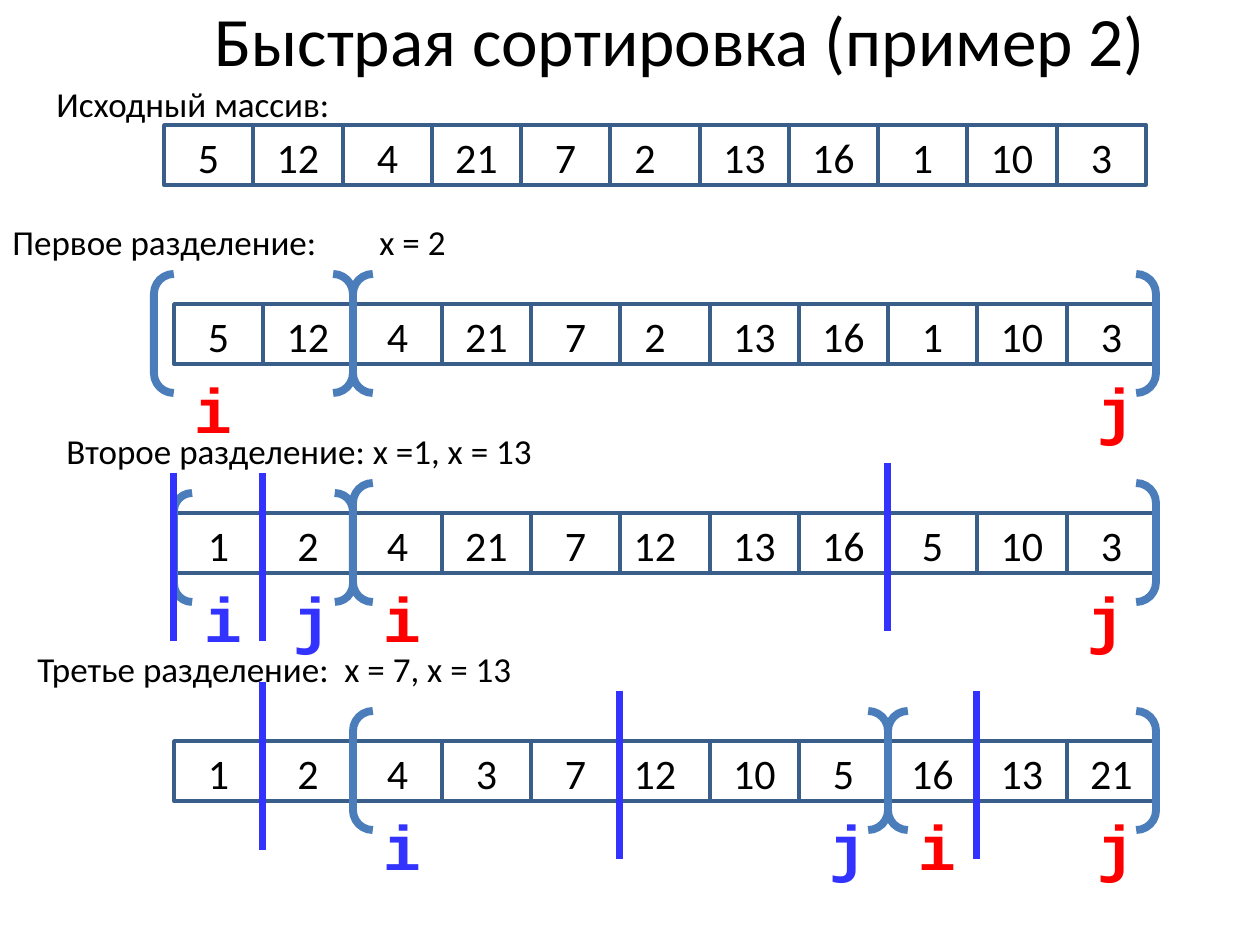
from dataclasses import dataclass

from lxml.etree import SubElement
from pptx import Presentation
from pptx.dml.color import RGBColor
from pptx.enum.shapes import MSO_CONNECTOR, MSO_SHAPE
from pptx.enum.text import MSO_ANCHOR, PP_ALIGN
from pptx.oxml.ns import qn
from pptx.util import Emu, Pt

PX_PER_INCH = 126


@dataclass(frozen=True)
class Theme:
    ink: str = "000000"
    cell_line: str = "395E89"
    bracket: str = "4A7DBA"
    red: str = "FF0000"
    blue: str = "3333FF"
    font: str = "Calibri"
    pointer_font: str = "Courier New"
    title_pt: float = 39.6
    caption_pt: float = 20
    cell_pt: float = 24
    pointer_pt: float = 36
    cell_line_pt: float = 2
    bracket_pt: float = 4.5
    bar_pt: float = 4


THEME = Theme()


@dataclass(frozen=True)
class Caption:
    text: str
    x: int
    y: int
    w: int
    tab: int = 0


@dataclass(frozen=True)
class Bracket:
    start: int
    end: int
    outset: int = 0
    rise: int = 30
    h: int = 119


@dataclass(frozen=True)
class Pointer:
    label: str
    column: int
    color: str
    nudge: int = 10


@dataclass(frozen=True)
class Bar:
    column: int
    rise: int = 50


@dataclass(frozen=True)
class Step:
    caption: Caption
    x: int
    y: int
    values: tuple[int, ...]
    brackets: tuple[Bracket, ...] = ()
    pointers: tuple[Pointer, ...] = ()
    bars: tuple[Bar, ...] = ()

    def edge(self, column: int) -> int:
        return self.x + round(ROW_W * column / len(self.values))


ROW_W, CELL_H = 982, 60
POINTER_W, POINTER_H = 79, 89
BAR_H = 168
NUDGED_COLUMN = 5

STEPS = (
    Step(Caption("Исходный массив:", 44, 76, 326), 164, 125,
         (5, 12, 4, 21, 7, 2, 13, 16, 1, 10, 3)),
    Step(Caption("Первое разделение:\tx = 2", 0, 214, 512, 367), 174, 304,
         (5, 12, 4, 21, 7, 2, 13, 16, 1, 10, 3),
         (Bracket(0, 2, outset=20), Bracket(2, 11)),
         (Pointer("i", 0, THEME.red, 0), Pointer("j", 10, THEME.red))),
    Step(Caption("Второе разделение: x =1, x = 13", 54, 423, 635), 174, 513,
         (1, 2, 4, 21, 7, 12, 13, 16, 5, 10, 3),
         (Bracket(2, 11), Bracket(0, 2, rise=20, h=109)),
         (Pointer("i", 2, THEME.red), Pointer("j", 10, THEME.red, 0),
          Pointer("i", 0, THEME.blue), Pointer("j", 1, THEME.blue)),
         (Bar(1, 40), Bar(8), Bar(0, 40))),
    Step(Caption("Третье разделение:\tx = 7, x = 13", 25, 641, 595, 307), 174, 741,
         (1, 2, 4, 3, 7, 12, 10, 5, 16, 13, 21),
         (Bracket(2, 8), Bracket(8, 11)),
         (Pointer("i", 2, THEME.blue), Pointer("j", 7, THEME.blue),
          Pointer("j", 10, THEME.red), Pointer("i", 8, THEME.red)),
         (Bar(1, 59), Bar(5), Bar(9))),
)


def px(n: int) -> Emu:
    return Emu(round(n * 914400 / PX_PER_INCH))


def write(sp, text: str, size: float, color: str = THEME.ink, font: str = THEME.font,
          bold: bool = False, align=PP_ALIGN.CENTER, anchor=MSO_ANCHOR.TOP):
    tf = sp.text_frame
    tf.word_wrap = True
    tf.vertical_anchor = anchor
    p = tf.paragraphs[0]
    p.text = text
    p.alignment = align
    for r in p.runs:
        r.font.name = font
        r.font.size = Pt(size)
        r.font.bold = bold
        r.font.color.rgb = RGBColor.from_string(color)
    return p


def add_text(s, x: int, y: int, w: int, h: int, text: str, size: float, **style):
    return write(s.shapes.add_textbox(px(x), px(y), px(w), px(h)), text, size, **style)


def add_outline(s, kind: MSO_SHAPE, x: int, y: int, w: int, h: int, color: str, width: float):
    sp = s.shapes.add_shape(kind, px(x), px(y), px(w), px(h))
    sp.shadow.inherit = False
    sp.fill.background()
    sp.line.color.rgb = RGBColor.from_string(color)
    sp.line.width = Pt(width)
    return sp


def draw_caption(s, c: Caption) -> None:
    p = add_text(s, c.x, c.y, c.w, 55, c.text, THEME.caption_pt, align=PP_ALIGN.LEFT)
    if c.tab:
        tabs = SubElement(p._p.get_or_add_pPr(), qn("a:tabLst"))
        SubElement(tabs, qn("a:tab"), pos=str(px(c.tab)), algn="l")


def draw_cells(s, step: Step) -> None:
    for i, value in enumerate(step.values):
        x = step.edge(i)
        sp = add_outline(s, MSO_SHAPE.RECTANGLE, x, step.y, step.edge(i + 1) - x, CELL_H,
                         THEME.cell_line, THEME.cell_line_pt)
        write(sp, str(value), THEME.cell_pt)
        if i == NUDGED_COLUMN:
            sp.text_frame.margin_left, sp.text_frame.margin_right = px(3), px(23)


def draw_bracket(s, step: Step, b: Bracket) -> None:
    x = step.edge(b.start) - b.outset
    add_outline(s, MSO_SHAPE.DOUBLE_BRACKET, x, step.y - b.rise, step.edge(b.end) - x, b.h,
                THEME.bracket, THEME.bracket_pt)


def draw_pointer(s, step: Step, pt: Pointer) -> None:
    add_text(s, step.edge(pt.column) + pt.nudge, step.y + CELL_H, POINTER_W, POINTER_H,
             pt.label, THEME.pointer_pt, color=pt.color, font=THEME.pointer_font, bold=True)


def draw_bar(s, step: Step, bar: Bar) -> None:
    x, y = step.edge(bar.column), step.y - bar.rise
    cxn = s.shapes.add_connector(MSO_CONNECTOR.STRAIGHT, px(x), px(y), px(x), px(y + BAR_H))
    cxn.line.color.rgb = RGBColor.from_string(THEME.blue)
    cxn.line.width = Pt(THEME.bar_pt)
    SubElement(cxn._element.spPr, qn("a:effectLst"))


def draw_step(s, step: Step) -> None:
    draw_cells(s, step)
    draw_caption(s, step.caption)
    for b in step.brackets:
        draw_bracket(s, step, b)
    for pt in step.pointers:
        draw_pointer(s, step, pt)
    for bar in step.bars:
        draw_bar(s, step, bar)


def main() -> None:
    prs = Presentation()
    prs.slide_width, prs.slide_height = px(1260), px(945)
    s = prs.slides.add_slide(prs.slide_layouts[6])
    add_text(s, 144, 0, 1072, 77, "Быстрая сортировка (пример 2)", THEME.title_pt,
             anchor=MSO_ANCHOR.MIDDLE)
    for step in STEPS:
        draw_step(s, step)
    prs.save("out.pptx")


if __name__ == "__main__":
    main()
